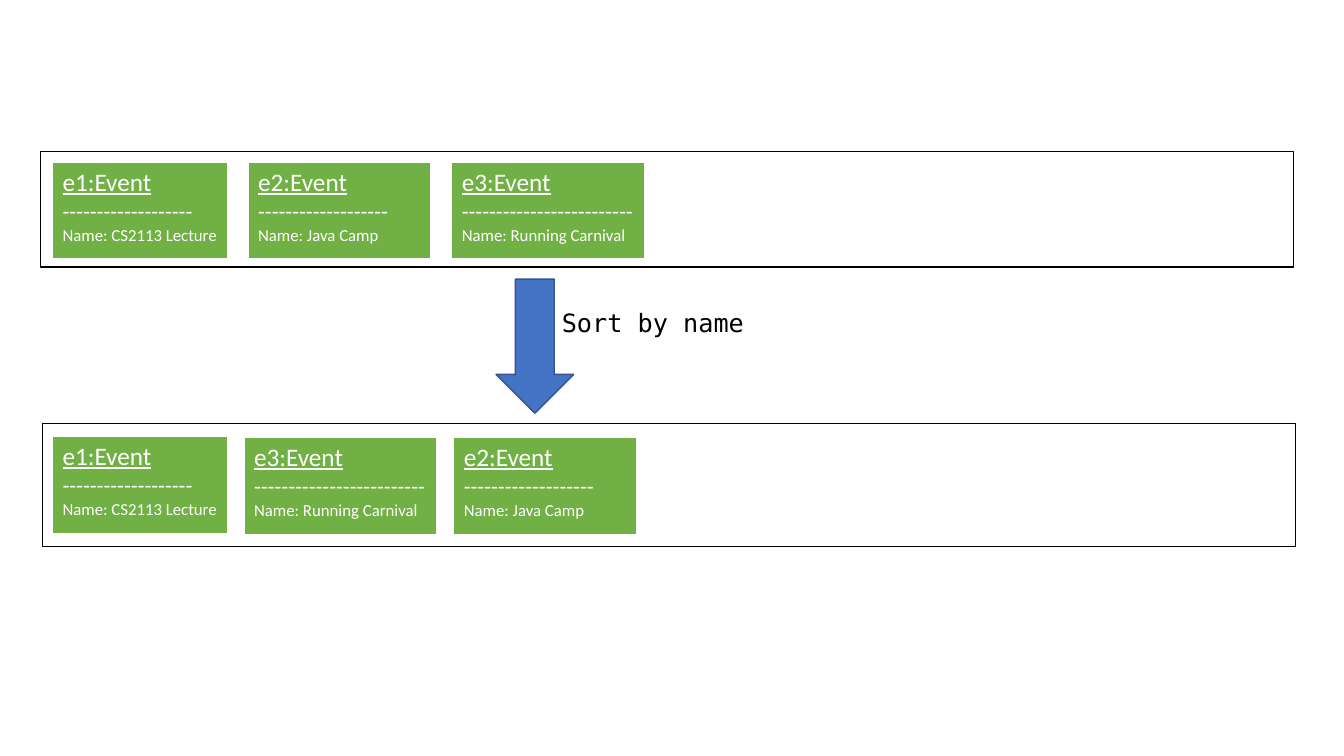
from dataclasses import dataclass

from pptx import Presentation
from pptx.dml.color import RGBColor
from pptx.enum.shapes import MSO_SHAPE
from pptx.enum.text import MSO_AUTO_SIZE, PP_ALIGN
from pptx.util import Inches, Pt

RECTANGLE = MSO_SHAPE.RECTANGLE
DOWN_ARROW = MSO_SHAPE.DOWN_ARROW
CENTER = PP_ALIGN.CENTER
FIT_SHAPE = MSO_AUTO_SIZE.SHAPE_TO_FIT_TEXT


@dataclass(frozen=True)
class Theme:
    event_fill: RGBColor = RGBColor(0x70, 0xB0, 0x44)
    event_text: RGBColor = RGBColor(0xFF, 0xFF, 0xFF)
    arrow_fill: RGBColor = RGBColor(0x44, 0x72, 0xC4)
    arrow_line: RGBColor = RGBColor(0x32, 0x54, 0x91)
    ink: RGBColor = RGBColor(0, 0, 0)
    body_font: str = "Calibri"
    code_font: str = "DejaVu Sans Mono"
    heading: Pt = Pt(18)
    divider: Pt = Pt(16)
    detail: Pt = Pt(12)
    outline: Pt = Pt(1)


THEME = Theme()
EVENT_HEIGHT = 0.96
EVENTS = {
    "e1": ("CS2113 Lecture", 19, 1.74),
    "e2": ("Java Camp", 19, 1.81),
    "e3": ("Running Carnival", 25, 1.91),
}
UNSORTED = [("e1", 0.52, 1.61), ("e2", 2.46, 1.61), ("e3", 4.48, 1.61)]
SORTED = [("e1", 0.52, 4.33), ("e3", 2.42, 4.34), ("e2", 4.5, 4.34)]


def add_outlined(slide, preset, box, line_color, fill_color=None):
    outlined = slide.shapes.add_shape(preset, *map(Inches, box))
    outlined.shadow.inherit = False
    if fill_color is None:
        outlined.fill.background()
    else:
        outlined.fill.solid()
        outlined.fill.fore_color.rgb = fill_color
    outlined.line.color.rgb = line_color
    outlined.line.width = THEME.outline


def add_event(slide, key, left, top):
    name, dashes, width = EVENTS[key]
    card = slide.shapes.add_table(
        1, 1, Inches(left), Inches(top), Inches(width), Inches(EVENT_HEIGHT)
    ).table
    card.first_row = False
    card.horz_banding = False
    cell = card.cell(0, 0)
    cell.fill.solid()
    cell.fill.fore_color.rgb = THEME.event_fill

    heading = cell.text_frame.paragraphs[0]
    heading.text = f"{key}:Event"
    heading.font.size = THEME.heading
    heading.font.underline = True

    details = cell.text_frame.add_paragraph()
    divider = details.add_run()
    divider.text = "-" * dashes
    divider.font.size = THEME.divider
    details.add_line_break()
    event_name = details.add_run()
    event_name.text = f"Name: {name}"
    event_name.font.size = THEME.detail

    for paragraph in (heading, details):
        paragraph.font.name = THEME.body_font
        paragraph.font.color.rgb = THEME.event_text


def add_event_list(slide, frame, events):
    add_outlined(slide, RECTANGLE, frame, THEME.ink)
    for event in events:
        add_event(slide, *event)


def add_label(slide, text, box):
    frame = slide.shapes.add_textbox(*map(Inches, box)).text_frame
    frame.word_wrap = True
    frame.auto_size = FIT_SHAPE
    label = frame.paragraphs[0]
    label.text = text
    label.alignment = CENTER
    label.font.name = THEME.code_font
    label.font.size = THEME.heading
    label.font.color.rgb = THEME.ink


def main():
    deck = Presentation()
    deck.slide_width = Inches(13.33)
    deck.slide_height = Inches(7.5)
    slide = deck.slides.add_slide(deck.slide_layouts[6])

    add_label(slide, "Sort by name", (5.44, 3, 2.07, 0.4))
    add_event_list(slide, (0.4, 1.5, 12.43, 1.15), UNSORTED)
    add_outlined(slide, DOWN_ARROW, (4.92, 2.77, 0.77, 1.33),
                 THEME.arrow_line, THEME.arrow_fill)
    add_event_list(slide, (0.42, 4.2, 12.43, 1.22), SORTED)

    deck.save("out.pptx")


if __name__ == "__main__":
    main()
